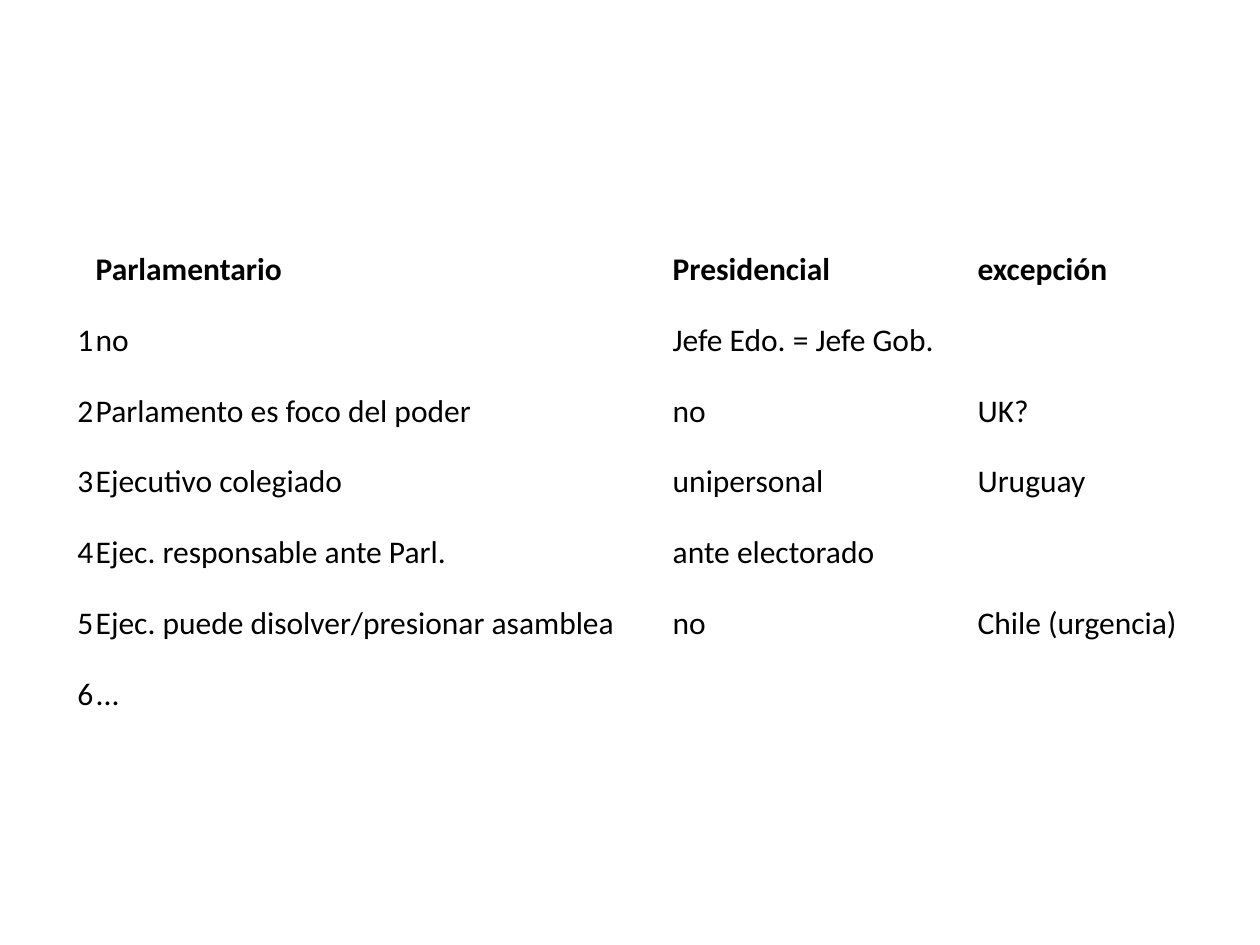
from pptx import Presentation
from pptx.dml.color import RGBColor as Rgb
from pptx.enum.text import MSO_ANCHOR as Anchor, PP_ALIGN as Align
from pptx.util import Inches as In, Pt

SIZE = 10, 7.5
LEFT, TOP = 0.51, 1.78
COLS = [0.24, 4.34, 0.24, 2.22, 0.2, 1.73]
ROW = 0.5625
HEADS = ["", "Parlamentario", "Presidencial", "excepción"]
ROWS = [
    ["no", "Jefe Edo. = Jefe Gob.", ""],
    ["Parlamento es foco del poder", "no", "UK?"],
    ["Ejecutivo colegiado", "unipersonal", "Uruguay"],
    ["Ejec. responsable ante Parl.", "ante electorado", ""],
    ["Ejec. puede disolver/presionar asamblea", "no", "Chile (urgencia)"],
    ["...", "", ""],
]
SPOTS = [0, 1, 3, 5]
FONT = {"name": "Calibri", "size": Pt(18)}
CELL = {
    "vertical_anchor": Anchor.BOTTOM,
    "margin_left": In(0.01),
    "margin_right": In(0.01),
    "margin_top": In(0.05),
    "margin_bottom": In(0.05),
}
PLAIN = {"first_row": False, "horz_banding": False}


def apply(item, vals):
    """Set each attribute in vals on item."""
    for key, val in vals.items():
        setattr(item, key, val)


def paint(fmt, code):
    """Give a font the colour of a hex string."""
    fmt.color.rgb = Rgb.from_string(code)


def write(cell, text, bold, align):
    """Put text in a table cell."""
    para = cell.text_frame.paragraphs[0]
    para.alignment = align
    run = para.add_run()
    run.text = text
    apply(run.font, FONT | {"bold": bold})
    paint(run.font, "000000")


def add_grid(slide):
    """Add the bare table with its column widths and row heights."""
    count = len(ROWS) + 1
    frame = slide.shapes.add_table(
        count, len(COLS), In(LEFT), In(TOP), In(sum(COLS)), In(count * ROW))
    table = frame.table
    apply(table, PLAIN)
    for col, width in zip(table.columns, COLS):
        col.width = In(width)
    for row in table.rows:
        row.height = In(ROW)
    for cell in table.iter_cells():
        cell.fill.background()
        apply(cell, CELL)
    return table


def fill_grid(table):
    """Write the headings and the numbered rows."""
    lines = [HEADS] + [[str(num), *row] for num, row in enumerate(ROWS, 1)]
    for y, line in enumerate(lines):
        for x, text in zip(SPOTS, line):
            if text:
                align = Align.LEFT if x else Align.RIGHT
                write(table.cell(y, x), text, y == 0, align)


def main():
    """Build and save the slide."""
    deck = Presentation()
    deck.slide_width, deck.slide_height = map(In, SIZE)
    slide = deck.slides.add_slide(deck.slide_layouts[6])
    fill_grid(add_grid(slide))
    deck.save("out.pptx")


if __name__ == "__main__":
    main()
